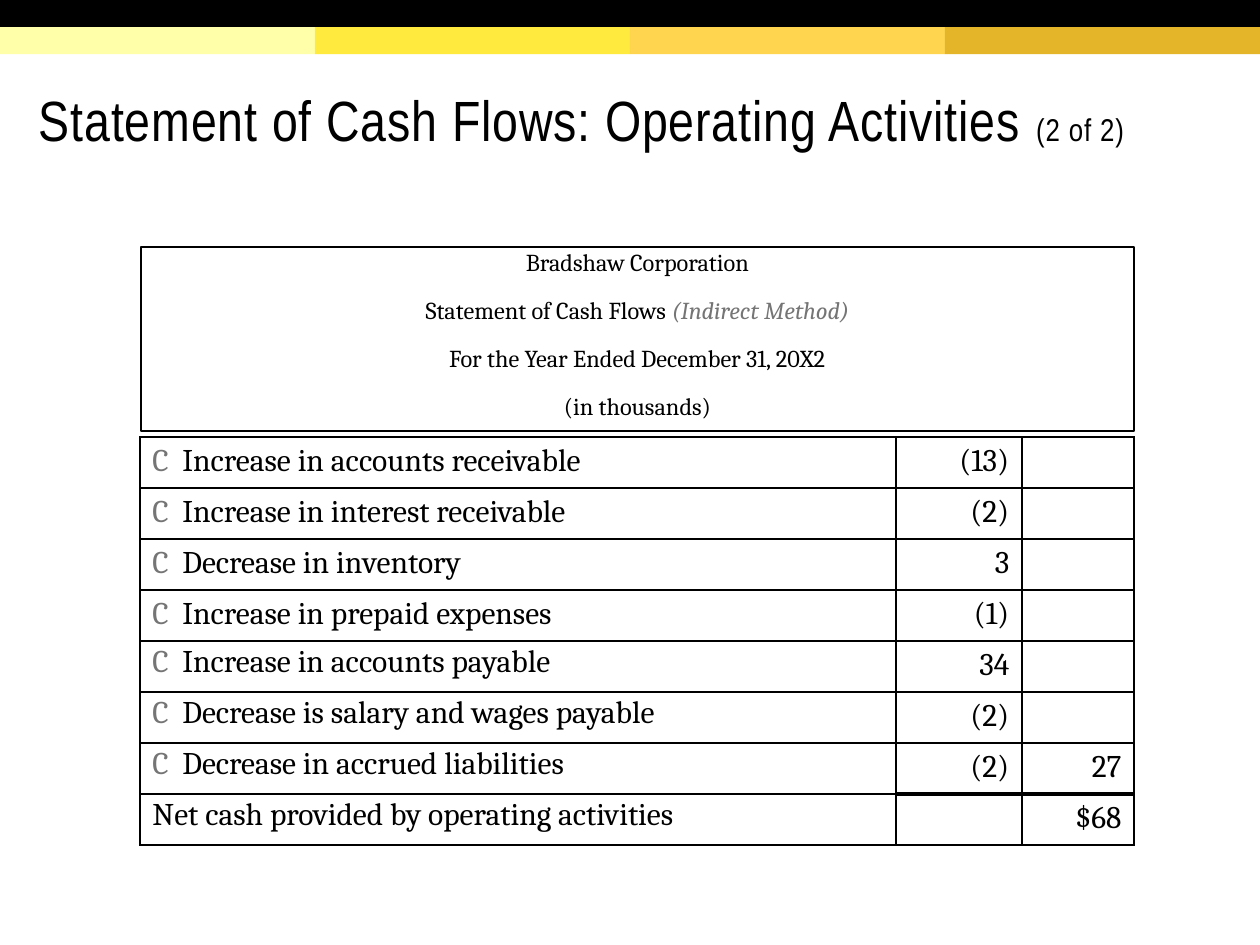
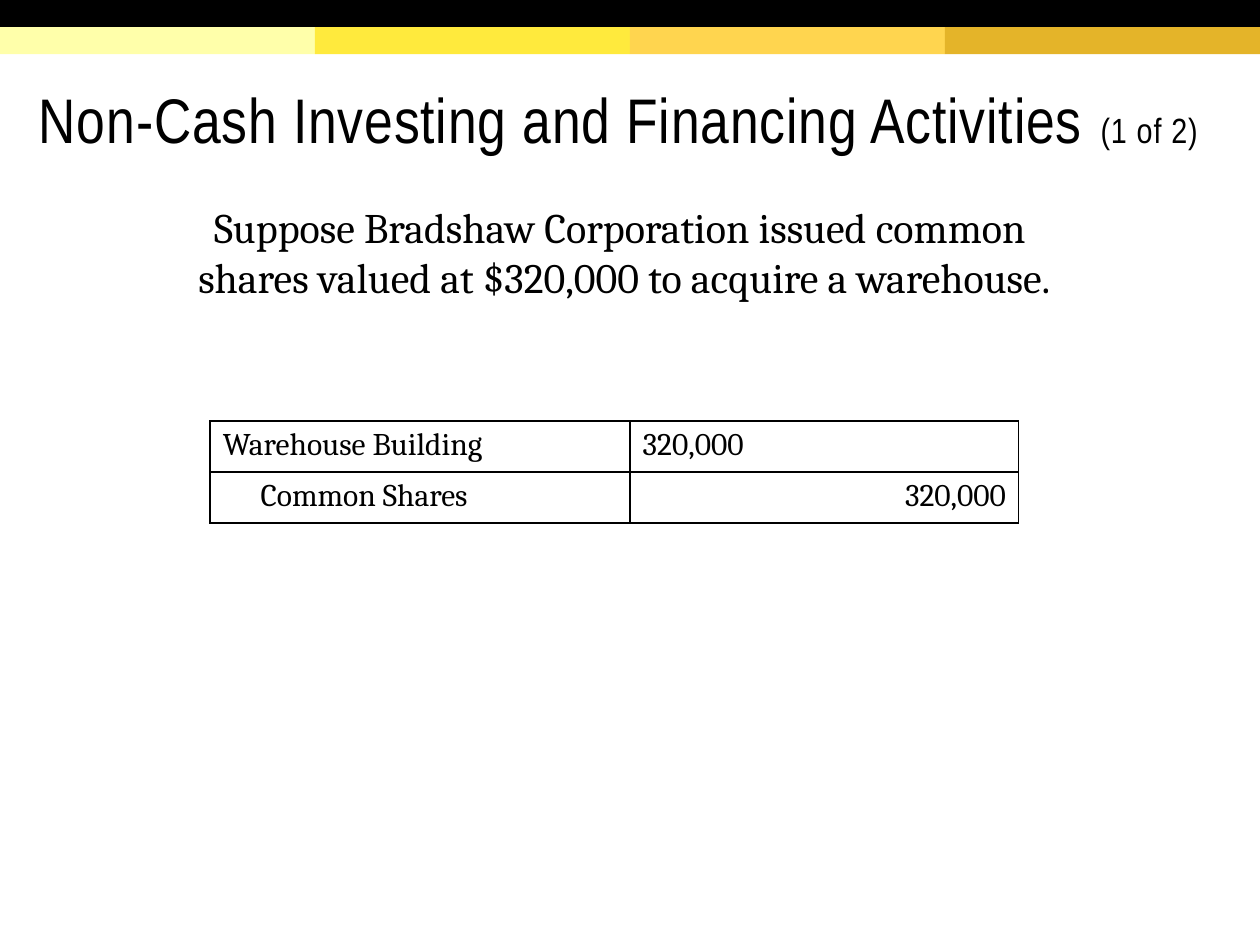
from dataclasses import dataclass

from lxml.etree import SubElement
from pptx import Presentation
from pptx.dml.color import RGBColor
from pptx.enum.shapes import MSO_SHAPE
from pptx.enum.text import MSO_ANCHOR, PP_ALIGN
from pptx.oxml.ns import qn
from pptx.util import Pt


@dataclass(frozen=True)
class Theme:
    black: str = "000000"
    gray: str = "757575"
    bands: tuple = ("FFFFAA", "FFEA3D", "FFD54F", "E4B429")
    title_font: str = "Arial Narrow"
    body_font: str = "Cambria"
    heading_size: float = 13.9
    table_size: float = 18
    body_size: float = 24
    thin: float = 1
    thick: float = 2.25


THEME = Theme()
WIDTH, HEIGHT = 720, 540
BAND_HEIGHT = 15.5
ROW_HEIGHT = 29.16
MARK_TAB = 17.1

STATEMENT_HEADING = [
    ["Bradshaw Corporation"],
    ["Statement of Cash Flows ", "(Indirect Method)"],
    ["For the Year Ended December 31, 20X2"],
    ["(in thousands)"],
]
CASH_FLOWS = [
    ("Increase in accounts receivable", "(13)", ""),
    ("Increase in interest receivable", "(2)", ""),
    ("Decrease in inventory", "3", ""),
    ("Increase in prepaid expenses", "(1)", ""),
    ("Increase in accounts payable", "34", ""),
    ("Decrease is salary and wages payable", "(2)", ""),
    ("Decrease in accrued liabilities", "(2)", "27"),
    ("Net cash provided by operating activities", "", "$68"),
]
JOURNAL_ENTRY = [("Warehouse Building", "320,000"), ("Common Shares", "320,000")]


def rgb(color):
    return RGBColor.from_string(color)


def set_font(p, size, name=THEME.body_font):
    p.font.name = name
    p.font.size = Pt(size)
    p.font.color.rgb = rgb(THEME.black)


def add_run(p, text, color=None, italic=None):
    r = p.add_run()
    r.text = text
    if color:
        r.font.color.rgb = rgb(color)
    r.font.italic = italic
    return r


def add_rect(s, x, y, w, h, color):
    sp = s.shapes.add_shape(MSO_SHAPE.RECTANGLE, Pt(x), Pt(y), Pt(w), Pt(h))
    sp.shadow.inherit = False
    sp.fill.solid()
    sp.fill.fore_color.rgb = rgb(color)
    sp.line.fill.background()


def add_text_box(s, x, y, w, h):
    sp = s.shapes.add_textbox(Pt(x), Pt(y), Pt(w), Pt(h))
    sp.text_frame.word_wrap = True
    return sp


def add_title(s, title, part, size, part_size):
    tf = add_text_box(s, 15.1, 33.8, 683.3, 70.6).text_frame
    tf.vertical_anchor = MSO_ANCHOR.MIDDLE
    tf.margin_top = Pt(7.2)
    p = tf.paragraphs[0]
    p.line_spacing = 0.85
    set_font(p, size, THEME.title_font)
    add_run(p, title + " ")
    add_run(p, part).font.size = Pt(part_size)
    for r in p.runs:
        r.font._element.set("spc", "50")


def add_slide(prs, *title):
    """Add a blank slide with the colour bands and a title."""
    s = prs.slides.add_slide(prs.slide_layouts[6])
    add_rect(s, 0, 0, WIDTH, BAND_HEIGHT, THEME.black)
    w = WIDTH / len(THEME.bands)
    for i, color in enumerate(THEME.bands):
        add_rect(s, i * w, BAND_HEIGHT, w, BAND_HEIGHT, color)
    add_title(s, *title)
    return s


def add_statement_heading(s):
    sp = add_text_box(s, 80.6, 141.1, 567.4, 105.1)
    sp.line.color.rgb = rgb(THEME.black)
    sp.line.width = Pt(THEME.thin)
    tf = sp.text_frame
    for i, (text, *note) in enumerate(STATEMENT_HEADING):
        p = tf.add_paragraph() if i else tf.paragraphs[0]
        p.alignment = PP_ALIGN.CENTER
        p.line_spacing = 0.8
        p.space_before = Pt(6 if i else 0)
        p.space_after = Pt(8)
        set_font(p, THEME.heading_size)
        add_run(p, text)
        for words in note:
            add_run(p, words, THEME.gray, italic=True)


def style_cell(cell, top=THEME.thin, bottom=THEME.thin):
    """Draw the four borders, then clear the fill."""
    tc_pr = cell._tc.get_or_add_tcPr()
    widths = {"L": THEME.thin, "R": THEME.thin, "T": top, "B": bottom}
    for side, width in widths.items():
        ln = SubElement(tc_pr, qn(f"a:ln{side}"), w=str(Pt(width)))
        fill = SubElement(ln, qn("a:solidFill"))
        SubElement(fill, qn("a:srgbClr"), val=THEME.black)
    cell.fill.background()


def add_grid(s, x, y, col_widths, row_count):
    shape = s.shapes.add_table(row_count, len(col_widths), Pt(x), Pt(y),
                               Pt(sum(col_widths)), Pt(row_count * ROW_HEIGHT))
    table = shape.table
    table.first_row = table.horz_banding = False
    for col, w in zip(table.columns, col_widths):
        col.width = Pt(w)
    for row in table.rows:
        row.height = Pt(ROW_HEIGHT)
    return table


def fill_cell(cell, text, align=PP_ALIGN.LEFT):
    p = cell.text_frame.paragraphs[0]
    p.alignment = align
    set_font(p, THEME.table_size)
    if text:
        add_run(p, text)
    return p


def fill_marked_cell(cell, text):
    """Write a label after a gray C, aligned by a tab stop."""
    p = cell.text_frame.paragraphs[0]
    tabs = SubElement(p._p.get_or_add_pPr(), qn("a:tabLst"))
    SubElement(tabs, qn("a:tab"), pos=str(Pt(MARK_TAB)), algn="l")
    set_font(p, THEME.table_size)
    add_run(p, "C", THEME.gray)
    add_run(p, "\t" + text)
    return p


def add_cash_flow_table(s):
    table = add_grid(s, 79.9, 249.8, (432, 72, 64.1), len(CASH_FLOWS))
    total = len(CASH_FLOWS) - 1
    for i, (label, *amounts) in enumerate(CASH_FLOWS):
        fill_label = fill_cell if i == total else fill_marked_cell
        p = fill_label(table.cell(i, 0), label)
        if i >= 4:
            p.line_spacing = 0.85
        style_cell(table.cell(i, 0))
        for j, amount in enumerate(amounts, 1):
            cell = table.cell(i, j)
            fill_cell(cell, amount, PP_ALIGN.RIGHT)
            style_cell(cell,
                       top=THEME.thick if i == total else THEME.thin,
                       bottom=THEME.thick if i == total - 1 else THEME.thin)


def add_journal_entry(s):
    table = add_grid(s, 120.1, 240.6, (240, 222), len(JOURNAL_ENTRY))
    for i, (account, amount) in enumerate(JOURNAL_ENTRY):
        is_credit = i == 1
        p = fill_cell(table.cell(i, 0), account)
        if is_credit:
            p._p.get_or_add_pPr().set("marL", str(Pt(21.6)))
        fill_cell(table.cell(i, 1), amount,
                  PP_ALIGN.RIGHT if is_credit else PP_ALIGN.LEFT)
        for cell in table.rows[i].cells:
            style_cell(cell)


def add_body(s, text):
    p = add_text_box(s, 15.1, 111.6, 683.3, 362.2).text_frame.paragraphs[0]
    p.text = text
    p.alignment = PP_ALIGN.CENTER
    p.space_after = Pt(8)
    set_font(p, THEME.body_size)


def main():
    prs = Presentation()
    prs.slide_width, prs.slide_height = Pt(WIDTH), Pt(HEIGHT)

    s = add_slide(prs, "Statement of Cash Flows: Operating Activities",
                  "(2 of 2)", 32.4, 18)
    add_statement_heading(s)
    add_cash_flow_table(s)

    s = add_slide(prs, "Non-Cash Investing and Financing Activities",
                  "(1 of 2)", 36, 20)
    add_body(s, "Suppose Bradshaw Corporation issued common \v"
                "shares valued at $320,000 to acquire a warehouse.")
    add_journal_entry(s)

    prs.save("out.pptx")


if __name__ == "__main__":
    main()
